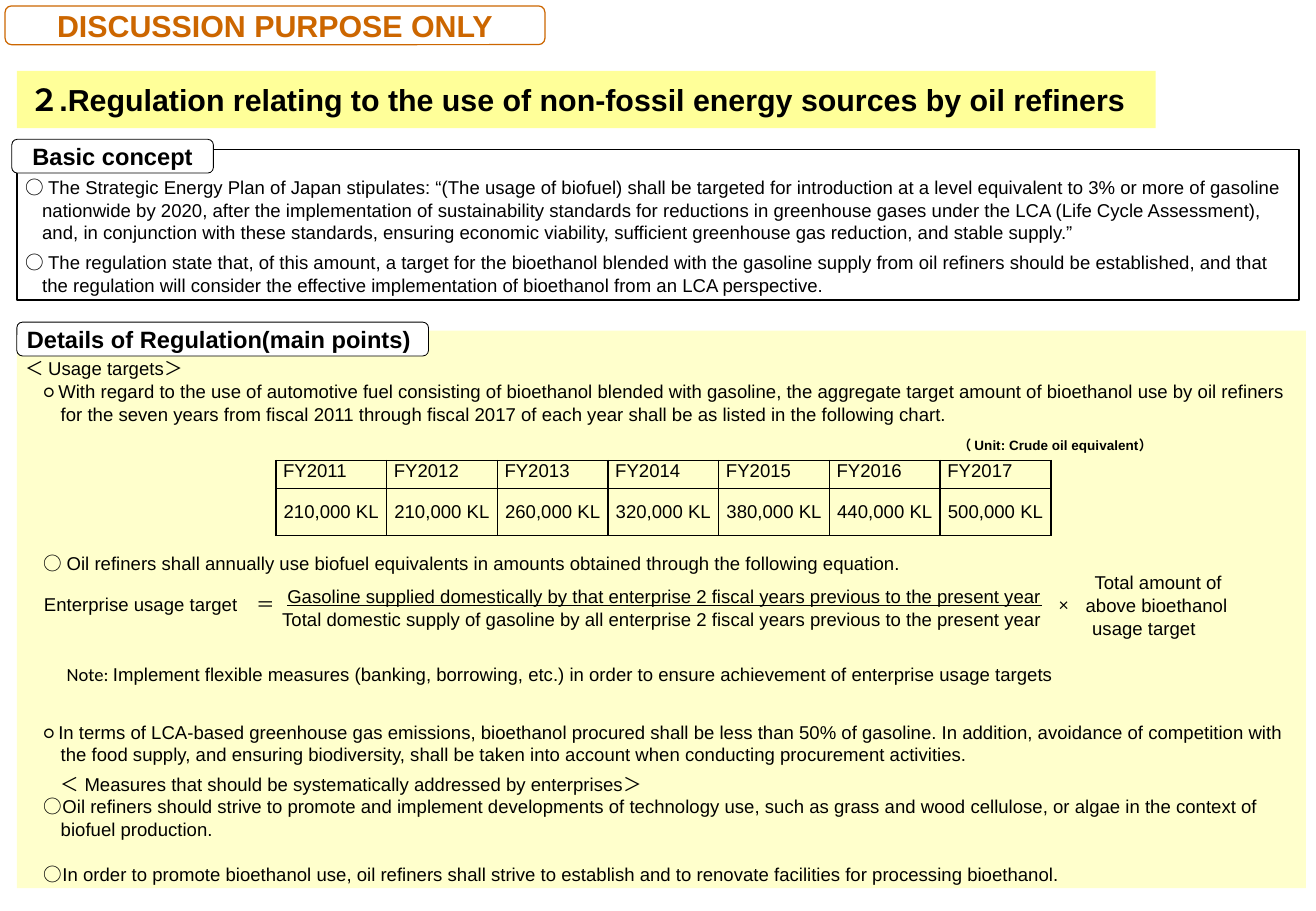
from lxml.etree import SubElement
from pptx import Presentation
from pptx.dml.color import RGBColor
from pptx.enum.shapes import MSO_SHAPE as Preset
from pptx.enum.text import MSO_ANCHOR as Anchor, MSO_AUTO_SIZE as AutoSize, PP_ALIGN as Align
from pptx.oxml.ns import qn
from pptx.util import Pt

LATIN, ROUND, PLAIN = "Arial", "Noto Sans CJK JP", "Calibri"
BLACK, WHITE, ORANGE = "000000", "FFFFFF", "CC6600"
PALE, YELLOW = "FFFFCC", "FFFF99"
LINE = 13.4


def color(value):
    """Turn a hex string into a colour."""
    return RGBColor.from_string(value)


def place(shape, box):
    """Move a shape to a box of left, top, width and height."""
    shape.left, shape.top, shape.width, shape.height = map(Pt, box)


def paint(shape, fill=None, line=None, width=0.75):
    """Set fill and outline, either of which may be absent."""
    if fill:
        shape.fill.solid()
        shape.fill.fore_color.rgb = color(fill)
    else:
        shape.fill.background()
    if line:
        shape.line.color.rgb = color(line)
        shape.line.width = Pt(width)
    else:
        shape.line.fill.background()


def add_span(para, text, font=LATIN, size=11, bold=False, underline=False, ink=BLACK):
    """Add one formatted run."""
    span = para.add_run()
    span.text = text
    span.font.size, span.font.bold, span.font.underline = Pt(size), bold, underline
    span.font.color.rgb = color(ink)
    span.font.name = font
    SubElement(span._r.get_or_add_rPr(), qn("a:ea")).set("typeface", font)


def format_para(para, align=Align.LEFT, before=0, margin=0, hang=0, spacing=LINE):
    """Set alignment, spacing and indents of a paragraph without a bullet."""
    para.alignment, para.space_before, para.space_after = align, Pt(before), Pt(0)
    para.line_spacing = Pt(spacing) if spacing else 1.0
    properties = para._p.get_or_add_pPr()
    properties.set("marL", str(Pt(margin)))
    properties.set("indent", str(Pt(-hang)))
    SubElement(properties, qn("a:buNone"))


def fill_frame(shape, paras, anchor=Anchor.TOP, insets=(5, 3, 5, 3)):
    """Write paragraphs, each a format dictionary and its runs, into a shape."""
    frame = shape.text_frame
    frame.word_wrap, frame.auto_size, frame.vertical_anchor = True, AutoSize.NONE, anchor
    frame.margin_left, frame.margin_top, frame.margin_right, frame.margin_bottom = map(Pt, insets)
    for index, (layout, spans) in enumerate(paras):
        para = frame.add_paragraph() if index else frame.paragraphs[0]
        format_para(para, **layout)
        for text, style in spans:
            add_span(para, text, **style)


def add_text(page, box, paras, **options):
    """Add a text box."""
    shape = page.shapes.add_textbox(*map(Pt, box))
    fill_frame(shape, paras, **options)


def add_tag(page, box, text, align=Align.CENTER, size=14, ink=BLACK, fill=WHITE, line=BLACK, width=0.5):
    """Add a rounded label."""
    tag = page.shapes.add_shape(Preset.ROUNDED_RECTANGLE, *map(Pt, box))
    tag.shadow.inherit = False
    paint(tag, fill, line, width)
    style = dict(size=size, bold=True, ink=ink)
    fill_frame(tag, [(dict(align=align, spacing=None), [(text, style)])], anchor=Anchor.MIDDLE)


def circled(text, mark="○ ", font=ROUND, before=0, margin=10, hang=10):
    """Describe a paragraph that opens with a circle."""
    return dict(before=before, margin=margin, hang=hang), [(mark, dict(font=font)), (text, {})]


def bracketed(text, opening, before=0, margin=0):
    """Describe a subheading in angle brackets."""
    return dict(before=before, margin=margin), [
        (opening, dict(font=PLAIN)), (text, {}), ("＞", dict(font=PLAIN))]


def add_heading(page, box):
    """Fill the title placeholder as a yellow band."""
    title = page.shapes.title
    place(title, box)
    paint(title, YELLOW)
    text = "２.Regulation relating to the use of non-fossil energy sources by oil refiners"
    fill_frame(title, [(dict(spacing=None), [(text, dict(size=18, bold=True))])],
               anchor=Anchor.MIDDLE, insets=(7.2, 3.6, 7.2, 3.6))


def add_concept(page, body, box):
    """Build the basic concept panel."""
    left, top, _, _ = box
    place(body, box)
    paint(body, line=BLACK)
    fill_frame(body, [
        circled("The Strategic Energy Plan of Japan stipulates: “(The usage of biofuel) shall be targeted for "
                "introduction at a level equivalent to 3% or more of gasoline nationwide by 2020, after the "
                "implementation of sustainability standards for reductions in greenhouse gases under the LCA "
                "(Life Cycle Assessment), and, in conjunction with these standards, ensuring economic viability, "
                "sufficient greenhouse gas reduction, and stable supply.”"),
        circled("The regulation state that, of this amount, a target for the bioethanol blended with the gasoline "
                "supply from oil refiners should be established, and that the regulation will consider the "
                "effective implementation of bioethanol from an LCA perspective.", before=4.3),
    ], insets=(5, 15.6, 5, 3))
    add_tag(page, (left - 3, top - 6, 119.5, 20), "Basic concept")


def add_targets(page, box):
    """Build the yearly target table with its unit line."""
    left, top, width, height = box
    amounts = [210, 210, 260, 320, 380, 440, 500]
    table = page.shapes.add_table(2, len(amounts), *map(Pt, box)).table
    table.first_row = table.horz_banding = False
    for row, share in zip(table.rows, (0.37, 0.63)):
        row.height = Pt(height * share)
    for index, amount in enumerate(amounts):
        table.columns[index].width = Pt(width / len(amounts))
        format_cell(table.cell(0, index), f"FY{2011 + index}", Align.LEFT, Anchor.TOP)
        format_cell(table.cell(1, index), f"{amount},000 KL", Align.CENTER, Anchor.MIDDLE)
    mark = dict(font=ROUND, size=8, bold=True)
    add_text(page, (left + 373.5, top - 16.5, 151, 15), [(dict(align=Align.RIGHT, spacing=None), [
        ("（ ", mark), ("Unit: Crude oil equivalent", dict(size=8, bold=True)), ("）", mark)])],
        anchor=Anchor.MIDDLE)


def format_cell(cell, text, align, anchor):
    """Write a transparent cell with black borders."""
    cell.margin_left = cell.margin_right = Pt(4.3)
    cell.margin_top = cell.margin_bottom = Pt(0)
    cell.vertical_anchor = anchor
    para = cell.text_frame.paragraphs[0]
    format_para(para, align, spacing=None)
    add_span(para, text)
    properties = cell._tc.get_or_add_tcPr()
    for side in ("lnL", "lnR", "lnT", "lnB"):
        border = SubElement(properties, qn(f"a:{side}"), w=str(Pt(1)))
        SubElement(SubElement(border, qn("a:solidFill")), qn("a:srgbClr"), val=BLACK)
    cell.fill.background()


def add_equation(page, box):
    """Build the usage target equation from its terms."""
    left, top, _, height = box
    center = dict(align=Align.CENTER)
    add_text(page, (left, top + 13, 165, 19), [
        (center, [("Enterprise usage target　", {}), ("＝", dict(font=PLAIN))])])
    add_text(page, (left + 88.5, top + 8, 584, 35), [
        (dict(align=Align.CENTER, margin=3), [
            ("Gasoline supplied domestically by that enterprise 2 fiscal years previous to the present year",
             dict(underline=True))]),
        (center, [
            ("Total domestic supply of gasoline by all enterprise 2 fiscal years previous to the present year", {})])])
    add_text(page, (left + 608, top + 13, 21, 19), [(center, [("×", dict(font=PLAIN))])])
    add_text(page, (left + 600, top, 132, height), [
        (dict(align=Align.CENTER, margin=margin), [(text, {})])
        for text, margin in (("Total amount of", 17), ("above bioethanol", 15), ("usage target", 0))])


def add_details(page, body, box):
    """Build the regulation details panel."""
    left, top, _, _ = box
    place(body, box)
    paint(body, PALE)
    fill_frame(body, [
        bracketed("Usage targets", "＜ "),
        circled("With regard to the use of automotive fuel consisting of bioethanol blended with gasoline, the "
                "aggregate target amount of bioethanol use by oil refiners for the seven years from fiscal 2011 "
                "through fiscal 2017 of each year shall be as listed in the following chart.",
                font=PLAIN, margin=21),
        circled("Oil refiners shall annually use biofuel equivalents in amounts obtained through the following "
                "equation.", before=75, margin=21),
        (dict(before=52.4, margin=24.5), [
            ("Note: ", dict(font=PLAIN)),
            ("Implement flexible measures (banking, borrowing, etc.) in order to ensure achievement of enterprise "
             "usage targets", {})]),
        circled("In terms of LCA-based greenhouse gas emissions, bioethanol procured shall be less than 50% of "
                "gasoline. In addition, avoidance of competition with the food supply, and ensuring biodiversity, "
                "shall be taken into account when conducting procurement activities.",
                font=PLAIN, before=21, margin=21),
        bracketed(" Measures that should be systematically addressed by enterprises", "＜", before=4, margin=21),
        circled("Oil refiners should strive to promote and implement developments of technology use, such as grass "
                "and wood cellulose, or algae in the context of biofuel production.", mark="○", margin=21),
        circled("In order to promote bioethanol use, oil refiners shall strive to establish and to renovate "
                "facilities for processing bioethanol.", mark="○", before=13, margin=21),
    ], insets=(5, 15.6, 5, 3))
    add_targets(page, (left + 153.5, top + 77, 459.5, 44.5))
    add_equation(page, (left + 2, top + 139.5, 732, 45))
    add_tag(page, (left, top - 5, 244, 20), "Details of Regulation(main points)", Align.LEFT)


deck = Presentation()
deck.slide_width, deck.slide_height = Pt(780), Pt(540)
page = deck.slides.add_slide(deck.slide_layouts[3])
concept, details = page.placeholders[1], page.placeholders[2]
add_heading(page, (10, 42, 675, 34))
add_concept(page, concept, (10, 88.6, 760, 89.3))
add_details(page, details, (10, 196, 764, 330.5))
add_tag(page, (3, 3.5, 320, 23), "DISCUSSION PURPOSE ONLY", size=18, ink=ORANGE, fill=None, line=ORANGE, width=0.75)
deck.save("out.pptx")
